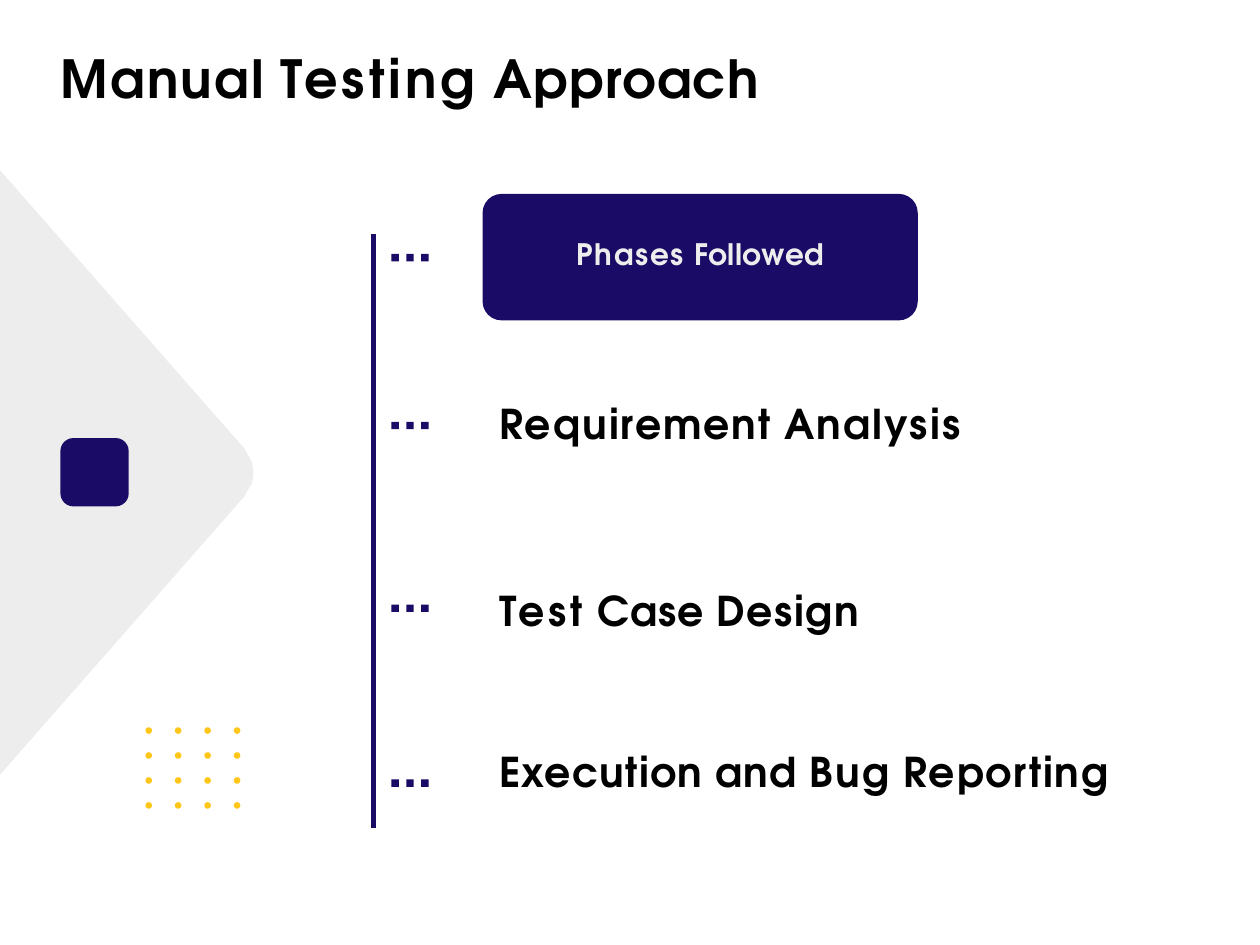
import math

from pptx import Presentation
from pptx import util as u
from pptx.dml.color import RGBColor
from pptx.enum import shapes as s, text as t
from lxml import etree

Cm, Pt = u.Cm, u.Pt

# Content: each word with its letter spacing in points
TITLE = [("Manual", 1.3), ("Testing", 2.3), ("Approach", 0.7)]
HEADING = [("Phases", 1.1), ("Followed", 0.3)]
# words, top of the text in cm
PHASES = [
    ([("Requirement", 1.2), ("Analysis", 1.4)], 8.53),
    ([("Test", 2.2), ("Case", 0.6), ("Design", 1)], 12.55),
    ([("Execution", 0.8), ("and", 0.9), ("Bug", 1.4), ("Reporting", 1.1)], 16.01),
]
MARKER_TOPS = [5.46, 9.07, 13.0, 16.76]

THEME = {
    "font": "TeX Gyre Adventor",
    "navy": RGBColor(0x1A, 0x0C, 0x66),
    "grey": RGBColor(0xED, 0xED, 0xED),
    "yellow": RGBColor(0xFF, 0xC6, 0x1A),
    "black": RGBColor(0, 0, 0),
    "title": Pt(32),
    "phase": Pt(25),
    "heading": Pt(18),
}
INSETS = {"margin_left": Cm(0.04), "margin_top": Cm(0.05),
          "margin_right": 0, "margin_bottom": 0, "word_wrap": True}
HEADING_FRAME = {"margin_left": 0, "margin_top": 0, "margin_right": 0,
                 "margin_bottom": Cm(0.14), "word_wrap": True,
                 "vertical_anchor": t.MSO_ANCHOR.MIDDLE}

prs = Presentation()
prs.slide_width, prs.slide_height = Cm(27.1), Cm(20.32)
slide = prs.slides.add_slide(prs.slide_layouts[6])


def apply(target, values):
    for name, value in values.items():
        setattr(target, name, value)


def paint(shape, color):
    shape.shadow.inherit = False
    shape.fill.solid()
    shape.fill.fore_color.rgb = THEME[color]
    shape.line.fill.background()


def add_block(kind, box, color, corner=None):
    block = slide.shapes.add_shape(kind, *map(Cm, box))
    paint(block, color)
    if corner:
        block.adjustments[0] = corner
    return block


def add_outlines(outlines, color):
    """Draw closed outlines, given in cm, as one shape."""
    outlines = [[(Cm(x), Cm(y)) for x, y in outline] for outline in outlines]
    builder = slide.shapes.build_freeform(*outlines[0][0])
    for outline in outlines:
        if outline is not outlines[0]:
            builder.move_to(*outline[0])
        builder.add_line_segments(outline[1:], close=True)
    paint(builder.convert_to_shape(), color)


def write(frame, words, size, color, layout):
    apply(frame, layout)
    line = frame.paragraphs[0]
    # The spaces between words are not widened
    pieces = [piece for word in words for piece in ((" ", 0), word)][1:]
    for piece, spacing in pieces:
        run = line.add_run()
        run.text = piece
        apply(run.font, {"name": THEME["font"], "size": THEME[size], "bold": True})
        run.font.color.rgb = THEME[color]
        run.font._element.set("spc", str(round(spacing * 100)))
    return line


def add_text(box, words, size):
    label = slide.shapes.add_textbox(*map(Cm, box))
    write(label.text_frame, words, size, "black", INSETS)


# Grey wedge, its lower half mirrored from the upper one
MIDDLE = 10.16
upper = [(0, 3.66), (5.26, 9.65), (5.33, 9.78), (5.41, 9.91), (5.44, 10.03)]
lower = [(x, 2 * MIDDLE - y) for x, y in reversed(upper)]
add_outlines([upper + [(5.45, MIDDLE)] + lower], "grey")

# Yellow dot grid
RADIUS, CORNERS = 0.07, 16
angles = [2 * math.pi * corner / CORNERS for corner in range(CORNERS)]
centres = [(3.2 + 1.9 * column / 3, 15.71 + 1.61 * row / 3)
           for column in range(4) for row in range(4)]
add_outlines([[(x + RADIUS * math.cos(a), y + RADIUS * math.sin(a)) for a in angles]
              for x, y in centres], "yellow")

# Navy tile on the wedge
add_block(s.MSO_SHAPE.ROUNDED_RECTANGLE, (1.3, 9.42, 1.47, 1.47), "navy", 0.19)

# Timeline with three square marks at each stop
timeline = slide.shapes.add_connector(
    s.MSO_CONNECTOR.STRAIGHT, Cm(8.03), Cm(5.03), Cm(8.03), Cm(17.81))
timeline.line.color.rgb = THEME["navy"]
timeline.line.width = Pt(3)
etree.SubElement(timeline._element.spPr,
                 "{http://schemas.openxmlformats.org/drawingml/2006/main}effectLst")
for top in MARKER_TOPS:
    for mark in range(3):
        add_block(s.MSO_SHAPE.RECTANGLE, (8.42 + 0.32 * mark, top, 0.16, 0.16), "navy")

# Heading card
card = add_block(s.MSO_SHAPE.ROUNDED_RECTANGLE, (10.38, 4.17, 9.36, 2.72), "navy", 0.15)
heading = write(card.text_frame, HEADING, "heading", "grey", HEADING_FRAME)
heading.alignment = t.PP_ALIGN.CENTER

# Title and phases
add_text((1.27, 0.94, 15.14, 1.42), TITLE, "title")
for words, top in PHASES:
    add_text((10.7, top, 13.5, 1.14), words, "phase")

prs.save("out.pptx")
